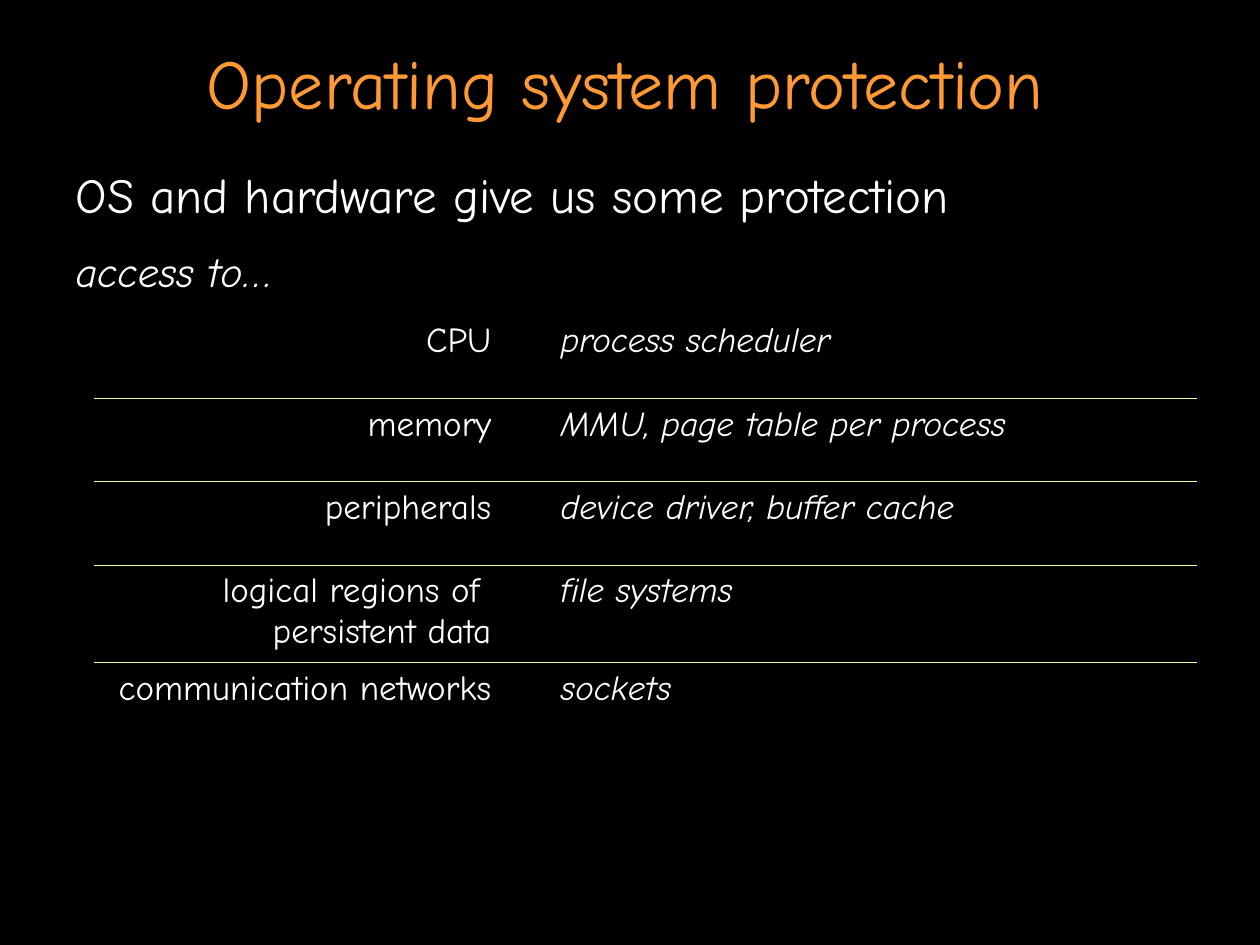
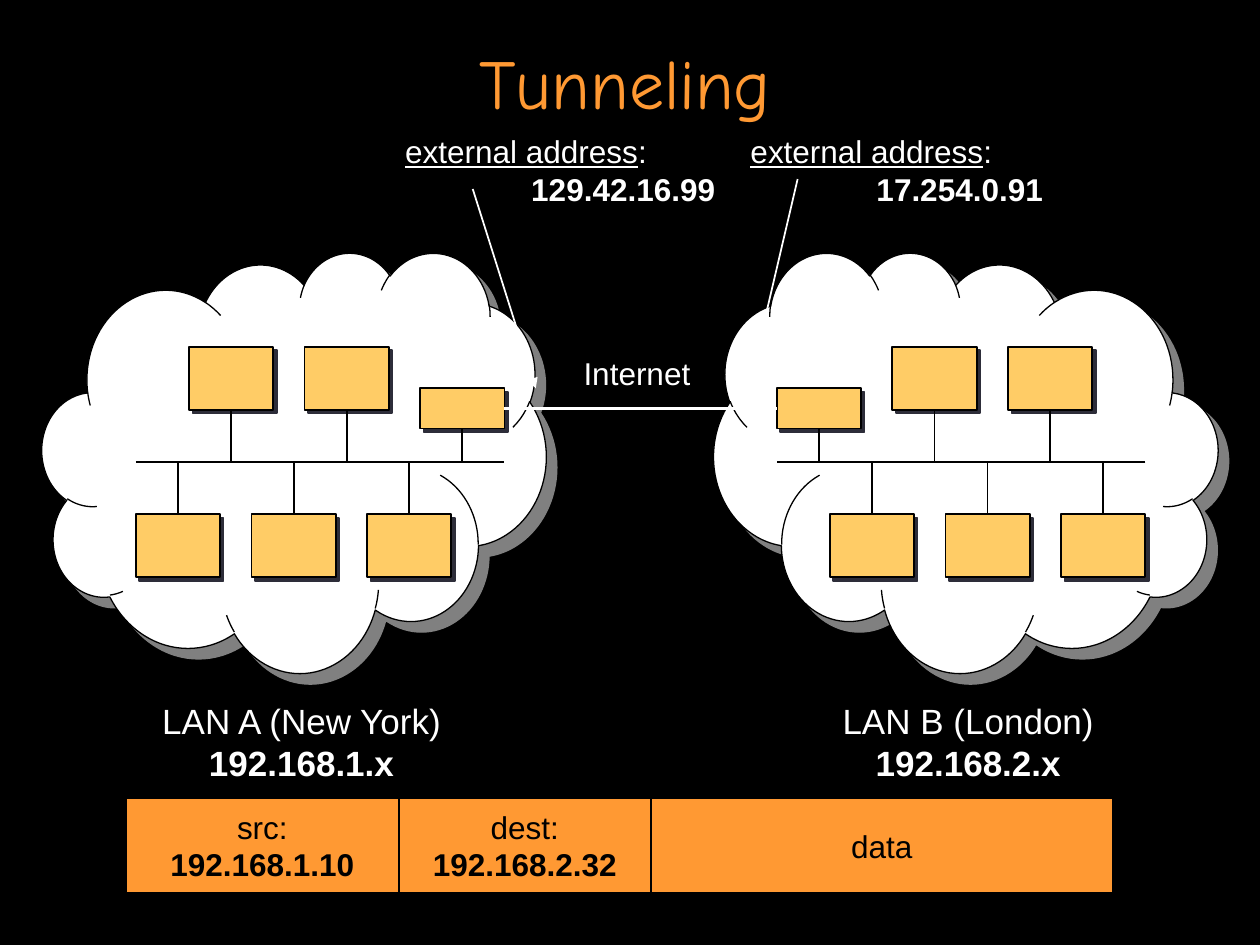
"""Build two slides on operating system protection and network tunneling."""
from lxml.etree import SubElement
from pptx import Presentation
from pptx.dml.color import RGBColor
from pptx.enum.shapes import MSO_CONNECTOR, MSO_SHAPE
from pptx.enum.text import MSO_ANCHOR, MSO_AUTO_SIZE, PP_ALIGN
from pptx.oxml.ns import qn
from pptx.util import Cm, Pt

BLACK = RGBColor(0x00, 0x00, 0x00)
WHITE = RGBColor(0xFF, 0xFF, 0xFF)
ORANGE = RGBColor(0xFF, 0x99, 0x33)
AMBER = RGBColor(0xFF, 0xCC, 0x66)
PALE_YELLOW = RGBColor(0xFF, 0xFF, 0x99)
GREY = RGBColor(0x80, 0x80, 0x80)
DARK_GREY = RGBColor(0x2D, 0x2D, 0x39)

HAND_FONT, PLAIN_FONT = "Comic Neue", "Arial"
NO_STYLE_NO_GRID = "{2D5ABB26-0587-4C30-8999-92F81FD0307C}"
TOP, LEFT, BOTTOM, RIGHT = range(4)

SLIDE_WIDTH, SLIDE_HEIGHT = 25.4, 19.05
CLOUD_LEFT, CLOUD_TOP, CLOUD_WIDTH, CLOUD_HEIGHT = 0.85, 5.08, 10.16, 8.47
BUS_START, BUS_END, BUS_Y = 2.74, 10.16, 9.32
HOST_WIDTH, HOST_HEIGHT, HOST_STEP = 1.7, 1.27, 2.33
UPPER_START, UPPER_Y, LOWER_Y = 3.81, 6.99, 10.37
ROUTER_Y, ROUTER_HEIGHT = 7.83, 0.81
LAN_MIRROR_WIDTH = 25.83

PROTECTIONS = [
    ("CPU", "process scheduler", 1.68),
    ("memory", "MMU, page table per process", 1.68),
    ("peripherals", "device driver, buffer cache", 1.68),
    ("logical regions of \npersistent data", "file systems", 1.96),
    ("communication networks", "sockets", 2.11),
]


def place(shape, left, top, width, height):
    """Move and size a shape, in centimetres."""
    shape.left, shape.top = Cm(left), Cm(top)
    shape.width, shape.height = Cm(width), Cm(height)


def add_run(paragraph, text, size, font=PLAIN_FONT, color=WHITE, **styles):
    """Add a formatted run, with a line break at each newline."""
    for index, line in enumerate(text.split("\n")):
        if index:
            paragraph.add_line_break()
        run = paragraph.add_run()
        run.text = line
        run.font.name, run.font.size = font, Pt(size)
        run.font.color.rgb = color
        for style, value in styles.items():
            setattr(run.font, style, value)


def add_heading_and_value(frame, heading, value, size, color=WHITE):
    """Write a centred heading with an optional bold value below it."""
    for index, (text, bold) in enumerate([(heading, False), (value, True)]):
        if text:
            paragraph = frame.add_paragraph() if index else frame.paragraphs[0]
            paragraph.alignment = PP_ALIGN.CENTER
            add_run(paragraph, text, size, color=color, bold=bold)


def add_text_box(slide, left, top, width, height):
    """Add a wrapping text box and return its text frame."""
    box = slide.shapes.add_textbox(Cm(left), Cm(top), Cm(width), Cm(height))
    box.text_frame.word_wrap = True
    return box.text_frame


def add_titled_slide(presentation, layout_index, title):
    """Add a slide with the shared title style."""
    slide = presentation.slides.add_slide(presentation.slide_layouts[layout_index])
    shape = slide.shapes.title
    place(shape, 0.64, 0.76, 23.93, 1.78)
    frame = shape.text_frame
    frame.auto_size = MSO_AUTO_SIZE.NONE
    frame.vertical_anchor = MSO_ANCHOR.MIDDLE
    frame.paragraphs[0].alignment = PP_ALIGN.CENTER
    add_run(frame.paragraphs[0], title, 40, HAND_FONT, ORANGE)
    return slide


def add_plain_paragraph(frame, index, text, size, **styles):
    """Add a body paragraph without a bullet."""
    paragraph = frame.add_paragraph() if index else frame.paragraphs[0]
    properties = paragraph._p.get_or_add_pPr()
    properties.set("marL", "0")
    properties.set("indent", "0")
    SubElement(properties, qn("a:buNone"))
    paragraph.space_before = Pt(6 if index else 0)
    paragraph.space_after = Pt(0 if index else 7)
    add_run(paragraph, text, size, HAND_FONT, **styles)


def add_bottom_border(cell):
    """Draw a thin line below a table cell."""
    properties = cell._tc.get_or_add_tcPr()
    border = SubElement(properties, qn("a:lnB"), w=str(Pt(0.45)))
    fill = SubElement(border, qn("a:solidFill"))
    SubElement(fill, qn("a:srgbClr"), val=str(PALE_YELLOW))
    properties.insert(0, border)


def add_protection_table(slide):
    """Add the table of resources and what protects them."""
    widths = [8.26, 0.89, 13.08]
    height = sum(row[2] for row in PROTECTIONS)
    table = slide.shapes.add_table(len(PROTECTIONS), len(widths), Cm(1.9), Cm(6.35),
                                   Cm(sum(widths)), Cm(height)).table
    table.first_row = table.horz_banding = False
    table._tbl.tblPr.find(qn("a:tableStyleId")).text = NO_STYLE_NO_GRID
    for column, width in zip(table.columns, widths):
        column.width = Cm(width)
    for index, (resource, guard, row_height) in enumerate(PROTECTIONS):
        row = table.rows[index]
        row.height = Cm(row_height)
        for cell in row.cells:
            cell.fill.background()
            if index < len(PROTECTIONS) - 1:
                add_bottom_border(cell)
        name = row.cells[0].text_frame.paragraphs[0]
        name.alignment = PP_ALIGN.RIGHT
        add_run(name, resource, 20, HAND_FONT)
        add_run(row.cells[2].text_frame.paragraphs[0], guard, 20, HAND_FONT, italic=True)


def add_filled_shape(shapes, kind, left, top, width, height, fill, line_width=1):
    """Add a preset shape with a fill and a black outline."""
    shape = shapes.add_shape(kind, Cm(left), Cm(top), Cm(width), Cm(height))
    shape.fill.solid()
    shape.fill.fore_color.rgb = fill
    shape.line.color.rgb = BLACK
    shape.line.width = Pt(line_width)
    shape.shadow.inherit = False
    return shape


def add_shadow(shape, color, distance):
    """Give a shape a hard shadow to the lower right."""
    effects = shape._element.spPr.find(qn("a:effectLst"))
    shadow = SubElement(effects, qn("a:outerShdw"), dist=str(Pt(distance)),
                        dir="2700000", algn="ctr", rotWithShape="0")
    SubElement(shadow, qn("a:srgbClr"), val=str(color))


def add_line(shapes, start, end, color=BLACK, width=1, arrow=False):
    """Add a straight line between two points, with an optional arrowhead."""
    line = shapes.add_connector(MSO_CONNECTOR.STRAIGHT, Cm(start[0]), Cm(start[1]),
                                Cm(end[0]), Cm(end[1]))
    line.line.color.rgb = color
    line.line.width = Pt(width)
    if arrow:
        SubElement(line.line._get_or_add_ln(), qn("a:tailEnd"), type="triangle")
    SubElement(line._element.spPr, qn("a:effectLst"))
    return line


def add_cloud(slide, mirrored):
    """Add a network cloud, on the right side when mirrored."""
    left = SLIDE_WIDTH - CLOUD_LEFT - CLOUD_WIDTH if mirrored else CLOUD_LEFT
    cloud = add_filled_shape(slide.shapes, MSO_SHAPE.CLOUD, left, CLOUD_TOP,
                             CLOUD_WIDTH, CLOUD_HEIGHT, WHITE, 0.75)
    if mirrored:
        cloud._element.spPr.find(qn("a:xfrm")).set("flipH", "1")
    add_shadow(cloud, GREY, 8.5)


def add_lan(slide, mirrored):
    """Add a cloud with hosts on a bus and return its router."""
    add_cloud(slide, mirrored)
    shapes = slide.shapes.add_group_shape().shapes

    def across(x):
        return LAN_MIRROR_WIDTH - x if mirrored else x

    add_line(shapes, (across(BUS_START), BUS_Y), (across(BUS_END), BUS_Y))
    hosts = [(BUS_START + i * HOST_STEP, LOWER_Y, HOST_HEIGHT, TOP) for i in range(3)]
    hosts += [(UPPER_START + i * HOST_STEP, UPPER_Y, HOST_HEIGHT, BOTTOM) for i in range(2)]
    hosts.append((UPPER_START + 2 * HOST_STEP, ROUTER_Y, ROUTER_HEIGHT, BOTTOM))
    for left, top, height, side in hosts:
        center = across(left + HOST_WIDTH / 2)
        host = add_filled_shape(shapes, MSO_SHAPE.RECTANGLE, center - HOST_WIDTH / 2, top,
                                HOST_WIDTH, height, AMBER)
        add_shadow(host, DARK_GREY, 2.8)
        edge = top if side == TOP else top + height
        add_line(shapes, (center, BUS_Y), (center, edge)).end_connect(host, side)
    return host


def add_external_address(slide, left, address):
    """Add an underlined label with an indented address below."""
    frame = add_text_box(slide, left, 2.54, 6.9, 1.78)
    label = frame.paragraphs[0]
    add_run(label, "external address", 18, underline=True)
    add_run(label, ":", 18)
    value = frame.add_paragraph()
    value._p.get_or_add_pPr().set("marL", str(Cm(2.54)))
    add_run(value, address, 18, bold=True)


def add_packet(slide, fields):
    """Add the packet as a row of adjoining fields."""
    left = 2.54
    for heading, value, width in fields:
        field = add_filled_shape(slide.shapes, MSO_SHAPE.RECTANGLE, left, 16.09,
                                 width, 1.91, ORANGE)
        field.text_frame.vertical_anchor = MSO_ANCHOR.MIDDLE
        add_heading_and_value(field.text_frame, heading, value, 18, BLACK)
        left += width


def build_protection_slide(presentation):
    """Build the slide on operating system protection."""
    slide = add_titled_slide(presentation, 1, "Operating system protection")
    body = slide.placeholders[1]
    place(body, 1.27, 3.18, 22.86, 14.4)
    body.text_frame.auto_size = MSO_AUTO_SIZE.NONE
    add_plain_paragraph(body.text_frame, 0, "OS and hardware give us some protection", 28)
    add_plain_paragraph(body.text_frame, 1, "access to…", 24, italic=True)
    add_protection_table(slide)


def build_tunneling_slide(presentation):
    """Build the slide that links two private networks."""
    slide = add_titled_slide(presentation, 5, "Tunneling")
    router_b = add_lan(slide, mirrored=True)
    router_a = add_lan(slide, mirrored=False)
    router_middle = ROUTER_Y + ROUTER_HEIGHT / 2
    tunnel = add_line(slide.shapes, (BUS_END, router_middle),
                      (LAN_MIRROR_WIDTH - BUS_END, router_middle), WHITE, 2.25)
    tunnel.begin_connect(router_a, RIGHT)
    tunnel.end_connect(router_b, LEFT)
    add_heading_and_value(add_text_box(slide, 11.34, 7.01, 3, 1.02), "Internet", "", 18)
    for left, name, network in [(2.78, "LAN A (New York)", "192.168.1.x"),
                                (16.22, "LAN B (London)", "192.168.2.x")]:
        add_heading_and_value(add_text_box(slide, left, 13.97, 6.6, 1.96), name, network, 20)
    for left, address, start, end in [
            (7.92, "129.42.16.99", (9.53, 3.81), (10.8, 7.83)),
            (14.88, "17.254.0.91", (16.08, 3.61), (15.04, 8.05))]:
        add_external_address(slide, left, address)
        add_line(slide.shapes, start, end, WHITE, arrow=True)
    add_packet(slide, [("src:", "192.168.1.10", 5.5), ("dest:", "192.168.2.32", 5.08),
                       ("data", "", 9.31)])


def main():
    """Build and save the presentation."""
    presentation = Presentation()
    presentation.slide_width, presentation.slide_height = Cm(SLIDE_WIDTH), Cm(SLIDE_HEIGHT)
    background = presentation.slide_master.background.fill
    background.solid()
    background.fore_color.rgb = BLACK
    build_protection_slide(presentation)
    build_tunneling_slide(presentation)
    presentation.save("out.pptx")


if __name__ == "__main__":
    main()
